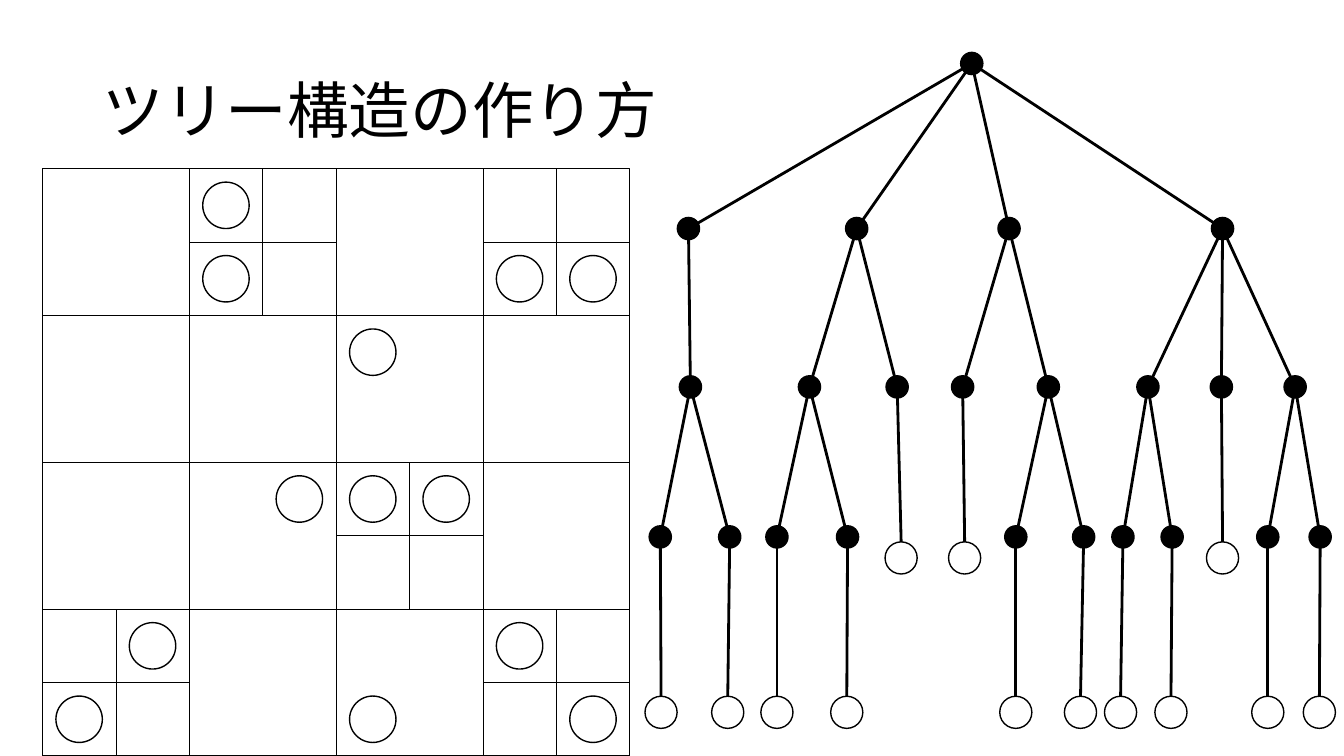
"""Build the slide that turns a subdivided square into a tree."""
from lxml import etree
from pptx import Presentation
from pptx.dml.color import RGBColor
from pptx.enum.shapes import MSO_CONNECTOR, MSO_SHAPE
from pptx.enum.text import MSO_ANCHOR, MSO_AUTO_SIZE, PP_ALIGN
from pptx.oxml.ns import qn
from pptx.util import Cm, Pt

LEFT = PP_ALIGN.LEFT
MIDDLE = MSO_ANCHOR.MIDDLE
NO_FIT = MSO_AUTO_SIZE.NONE
STRAIGHT = MSO_CONNECTOR.STRAIGHT
ELLIPSE = MSO_SHAPE.OVAL
RECTANGLE = MSO_SHAPE.RECTANGLE
TITLE_ONLY = 5


def color(code):
    return RGBColor.from_string(code)


def write(box, text, font="Calibri", size=44, ink="000000", align=LEFT, spacing=0.9):
    frame = box.text_frame
    frame.word_wrap = True
    frame.auto_size = NO_FIT
    frame.vertical_anchor = MIDDLE
    para = frame.paragraphs[0]
    para.alignment = align
    para.line_spacing = spacing
    span = para.add_run()
    span.text = text
    span.font.name = font
    span.font.size = Pt(size)
    span.font.color.rgb = color(ink)


class Painter:
    """Hold the line style and the current slide, and draw each kind of element."""

    ink = "000000"
    outline = 1

    def __init__(self, page):
        self.page = page
        self.shapes = page.shapes

    def start_group(self):
        self.shapes = self.page.shapes.add_group_shape().shapes

    def end_group(self):
        self.shapes = self.page.shapes

    def title(self, text, left, top, width, height):
        box = self.page.shapes.title
        box.left, box.top = Cm(left), Cm(top)
        box.width, box.height = Cm(width), Cm(height)
        write(box, text, ink=self.ink)

    def shape(self, kind, left, top, width, height, fill=None):
        shape = self.shapes.add_shape(kind, Cm(left), Cm(top), Cm(width), Cm(height))
        shape.shadow.inherit = False
        if fill:
            shape.fill.solid()
            shape.fill.fore_color.rgb = color(fill)
        else:
            shape.fill.background()
        shape.line.color.rgb = color(self.ink)
        shape.line.width = Pt(self.outline)

    def circle(self, x, y, size, fill=None):
        self.shape(ELLIPSE, x - size / 2, y - size / 2, size, size, fill)

    def line(self, x1, y1, x2, y2, width):
        line = self.shapes.add_connector(STRAIGHT, Cm(x1), Cm(y1), Cm(x2), Cm(y2))
        line.line.color.rgb = color(self.ink)
        line.line.width = Pt(width)
        etree.SubElement(line._element.spPr, qn("a:effectLst"))


GRID_LEFT, GRID_TOP, CELL, CELLS = 1.07, 4.25, 3.7, 4
HALF, SIDE = CELL / 2, CELL * CELLS
PARTICLE_SIZE = 1.17
SPLIT_CELLS = [(0, 1), (0, 3), (2, 2), (3, 0), (3, 3)]
PARTICLES = [(0, 2), (1, 2), (1, 6), (1, 7), (2, 4), (4, 3), (4, 4), (4, 5),
             (6, 1), (6, 6), (7, 0), (7, 4), (7, 7)]

NODE_SIZE, LEAF_SIZE = 0.56, 0.81
NODE_LEVELS = [1.6, 5.76, 9.75, 13.53]
LEAF_LEVELS = {3: 14.06, 4: 17.95}
TREE = (24.49, [
    (17.35, [
        (17.4, [(16.64, [(16.66, [])]), (18.39, [(18.34, [])])]),
    ]),
    (21.59, [
        (20.4, [(19.58, [(19.58, [])]), (21.36, [(21.34, [])])]),
        (22.61, [(22.71, [])]),
    ]),
    (25.43, [
        (24.26, [(24.31, [])]),
        (26.42, [(25.6, [(25.6, [])]), (27.31, [(27.23, [])])]),
    ]),
    (30.81, [
        (28.93, [(28.3, [(28.24, [])]), (29.54, [(29.51, [])])]),
        (30.78, [(30.81, [])]),
        (32.64, [(31.95, [(31.95, [])]), (33.27, [(33.25, [])])]),
    ]),
])


def draw_cross(painter, left, top, size):
    middle = size / 2
    painter.line(left, top + middle, left + size, top + middle, 0.5)
    painter.line(left + middle, top, left + middle, top + size, 0.5)


def draw_grid(painter):
    painter.start_group()
    painter.shape(RECTANGLE, GRID_LEFT, GRID_TOP, SIDE, SIDE)
    for index in range(1, CELLS):
        x, y = GRID_LEFT + index * CELL, GRID_TOP + index * CELL
        painter.line(GRID_LEFT, y, GRID_LEFT + SIDE, y, 0.5)
        painter.line(x, GRID_TOP, x, GRID_TOP + SIDE, 0.5)
    for row, column in SPLIT_CELLS:
        draw_cross(painter, GRID_LEFT + column * CELL, GRID_TOP + row * CELL, CELL)
    for row, column in PARTICLES:
        painter.circle(GRID_LEFT + (column + 0.5) * HALF,
                       GRID_TOP + (row + 0.5) * HALF, PARTICLE_SIZE)
    painter.end_group()


def draw_branches(painter, node, depth=0):
    x, children = node
    for child in children:
        child_x, grandchildren = child
        if grandchildren:
            end = NODE_LEVELS[depth + 1]
        else:
            end = LEAF_LEVELS[depth + 1] - LEAF_SIZE / 2
        painter.line(x, NODE_LEVELS[depth], child_x, end, 2)
        draw_branches(painter, child, depth + 1)


def draw_nodes(painter, node, depth=0):
    x, children = node
    if children:
        painter.circle(x, NODE_LEVELS[depth], NODE_SIZE, painter.ink)
    else:
        painter.circle(x, LEAF_LEVELS[depth], LEAF_SIZE)
    for child in children:
        draw_nodes(painter, child, depth + 1)


deck = Presentation()
deck.slide_width, deck.slide_height = Cm(33.87), Cm(19.05)
painter = Painter(deck.slides.add_slide(deck.slide_layouts[TITLE_ONLY]))
painter.title("ツリー構造の作り方", 2.33, 1.01, 29.21, 3.68)
draw_grid(painter)
draw_branches(painter, TREE)
draw_nodes(painter, TREE)
deck.save("out.pptx")
